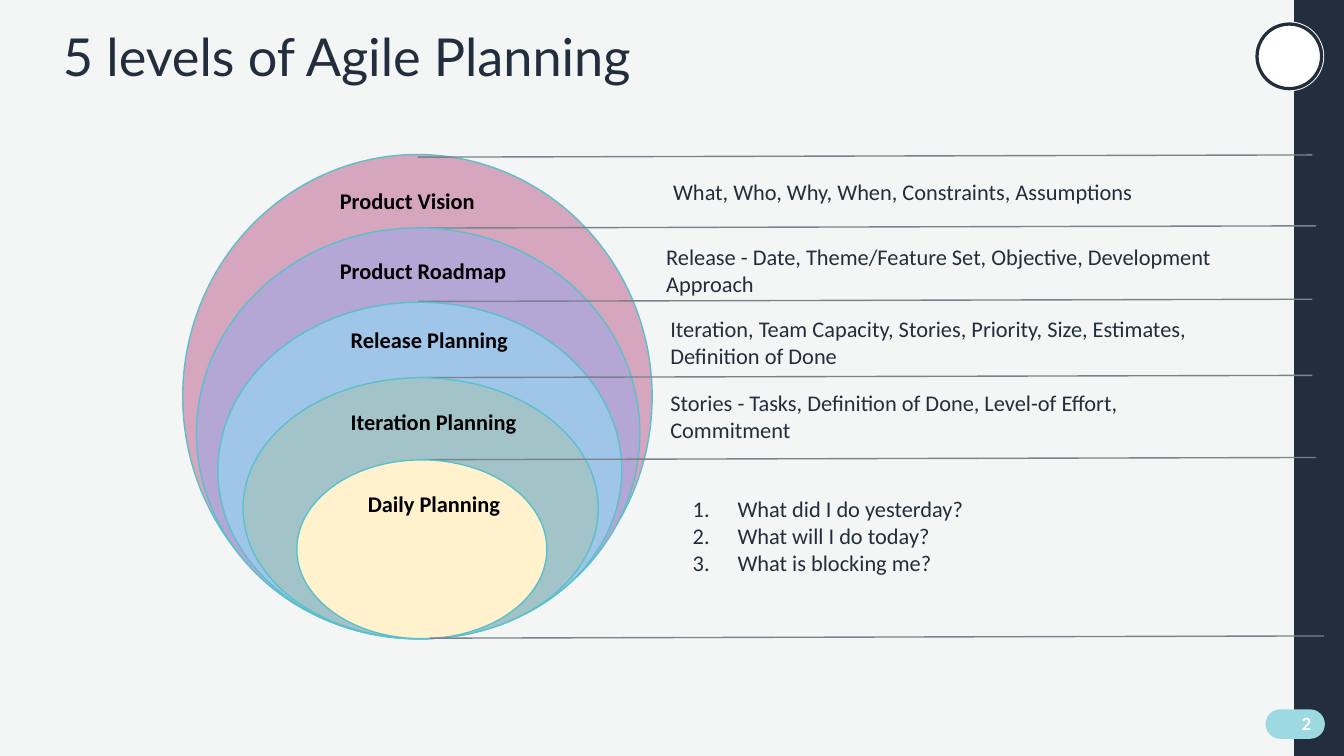
from dataclasses import dataclass

from lxml import etree
from pptx import Presentation
from pptx.dml.color import RGBColor
from pptx.enum.shapes import MSO_CONNECTOR as Connector, MSO_SHAPE as Shape
from pptx.enum.text import MSO_ANCHOR as Anchor, PP_ALIGN as Align
from pptx.oxml.ns import qn
from pptx.util import Pt


@dataclass(frozen=True)
class Theme:
    background: str = "F4F5F5"
    ink: str = "222E3D"
    label: str = "000000"
    white: str = "FFFFFF"
    badge: str = "9DD9E0"
    outline: str = "5BC0CB"
    rule: str = "7A828B"
    title_font: str = "Lato"
    body_font: str = "Calibri"
    title_size: float = 28
    body_size: float = 12
    number_size: float = 9
    line_width: float = 0.75


@dataclass(frozen=True)
class Level:
    name: str
    color: str
    ring: tuple
    label: tuple
    detail: tuple
    closing_rule: tuple
    lines: tuple
    numbered: bool = False


class SlideBuilder:
    def __init__(self, slide, theme):
        self.slide = slide
        self.theme = theme
        fill = slide.background.fill
        fill.solid()
        fill.fore_color.rgb = RGBColor.from_string(theme.background)

    def shape(self, kind, left, top, width, height, color, line=None, line_width=0.75):
        shape = self.slide.shapes.add_shape(kind, Pt(left), Pt(top), Pt(width), Pt(height))
        shape.shadow.inherit = False
        shape.fill.solid()
        shape.fill.fore_color.rgb = RGBColor.from_string(color)
        if line:
            shape.line.color.rgb = RGBColor.from_string(line)
            shape.line.width = Pt(line_width)
        else:
            shape.line.fill.background()
        return shape

    def style(self, para, font, size, color, bold=False):
        for span in para.runs:
            span.font.name = font
            span.font.size = Pt(size)
            span.font.bold = bold
            span.font.color.rgb = RGBColor.from_string(color)

    def text(self, left, top, width, height, lines, color, font=None, size=None,
             bold=False, numbered=False):
        box = self.slide.shapes.add_textbox(Pt(left), Pt(top), Pt(width), Pt(height))
        frame = box.text_frame
        frame.word_wrap = True
        frame.margin_left = frame.margin_right = Pt(7.2)
        frame.margin_top = frame.margin_bottom = Pt(7.2)
        frame.text = "\n".join(lines)
        for para in frame.paragraphs:
            if numbered:
                self.number(para, color)
            self.style(para, font or self.theme.body_font,
                       size or self.theme.body_size, color, bold)
        return box

    def number(self, para, color):
        properties = para._p.get_or_add_pPr()
        properties.set("marL", str(Pt(36)))
        properties.set("indent", str(Pt(-24)))
        bullet_color = etree.SubElement(properties, qn("a:buClr"))
        etree.SubElement(bullet_color, qn("a:srgbClr"), val=color)
        etree.SubElement(properties, qn("a:buAutoNum"), type="arabicPeriod")

    def rule(self, left, top):
        line = self.slide.shapes.add_connector(
            Connector.STRAIGHT, Pt(left), Pt(top), Pt(left + 479), Pt(top - 1.2))
        line.line.color.rgb = RGBColor.from_string(self.theme.rule)
        line.line.width = Pt(self.theme.line_width)
        etree.SubElement(line._element.spPr, qn("a:effectLst"))

    def page_number(self, number):
        theme = self.theme
        badge = self.shape(Shape.ROUNDED_RECTANGLE, 678, 380, 31.8, 15.8, theme.badge)
        badge.adjustments[0] = 0.5
        frame = badge.text_frame
        frame.vertical_anchor = Anchor.MIDDLE
        frame.margin_left = frame.margin_top = frame.margin_bottom = Pt(2.9)
        frame.margin_right = Pt(5)
        frame.text = number
        para = frame.paragraphs[0]
        para.alignment = Align.RIGHT
        self.style(para, theme.title_font, theme.number_size, theme.white, bold=True)

    def title(self, text):
        theme = self.theme
        box = self.text(26.6, 12.2, 644.4, 64, [text], theme.ink,
                        theme.title_font, theme.title_size)
        box.text_frame.paragraphs[0].line_spacing = 0.8

    def level(self, level, base):
        theme = self.theme
        left, top, width = level.ring
        self.shape(Shape.OVAL, left, top, width, base - top, level.color,
                   theme.outline, theme.line_width)
        self.text(*level.label, 112.3, 28.8, [level.name], theme.label, bold=True)
        self.text(*level.detail, 317.5, 44, level.lines, theme.ink,
                  numbered=level.numbered)
        self.rule(*level.closing_rule)


LEVELS = (
    Level("Product Vision", "D5A6BD", (97.9, 82.8, 251.5), (175, 93), (353.5, 88),
          (226, 122.2), ("What, Who, Why, When, Constraints, Assumptions",)),
    Level("Product Roadmap", "B4A7D6", (105.3, 122.1, 237.5), (175, 130.5), (349.8, 123),
          (224, 161.5),
          ("Release - Date, Theme/Feature Set, Objective, Development Approach",)),
    Level("Release Planning", "9FC5E8", (116.7, 161.9, 216.4), (180.8, 167.3), (352, 161.9),
          (224, 202.3),
          ("Iteration, Team Capacity, Stories, Priority, Size, Estimates, Definition of Done",)),
    Level("Iteration Planning", "A2C4C9", (130.2, 202.4, 190.3), (180.8, 211.5), (352, 201.2),
          (226, 246.3),
          ("Stories - Tasks, Definition of Done, Level-of Effort, Commitment",)),
    Level("Daily Planning", "FFF2CC", (159, 246.4, 134), (190, 255.5), (352, 258),
          (230.2, 341.9),
          ("What did I do yesterday?", "What will I do today?", "What is blocking me?"),
          numbered=True),
)
RING_BASE = 342.2


def main():
    deck = Presentation()
    deck.slide_width, deck.slide_height = Pt(720), Pt(405)
    theme = Theme()
    page = SlideBuilder(deck.slides.add_slide(deck.slide_layouts[6]), theme)

    page.shape(Shape.RECTANGLE, 693.3, 0, 26.7, 405, theme.ink)
    page.page_number("2")
    page.shape(Shape.OVAL, 672, 11.5, 37.4, 37.4, theme.white)
    page.shape(Shape.OVAL, 673.4, 12.9, 34.6, 34.6, theme.white, theme.ink, 1.75)
    page.title("5 levels of Agile Planning")

    for level in LEVELS:
        page.level(level, RING_BASE)
    page.rule(224, 84.2)

    deck.save("out.pptx")


if __name__ == "__main__":
    main()
